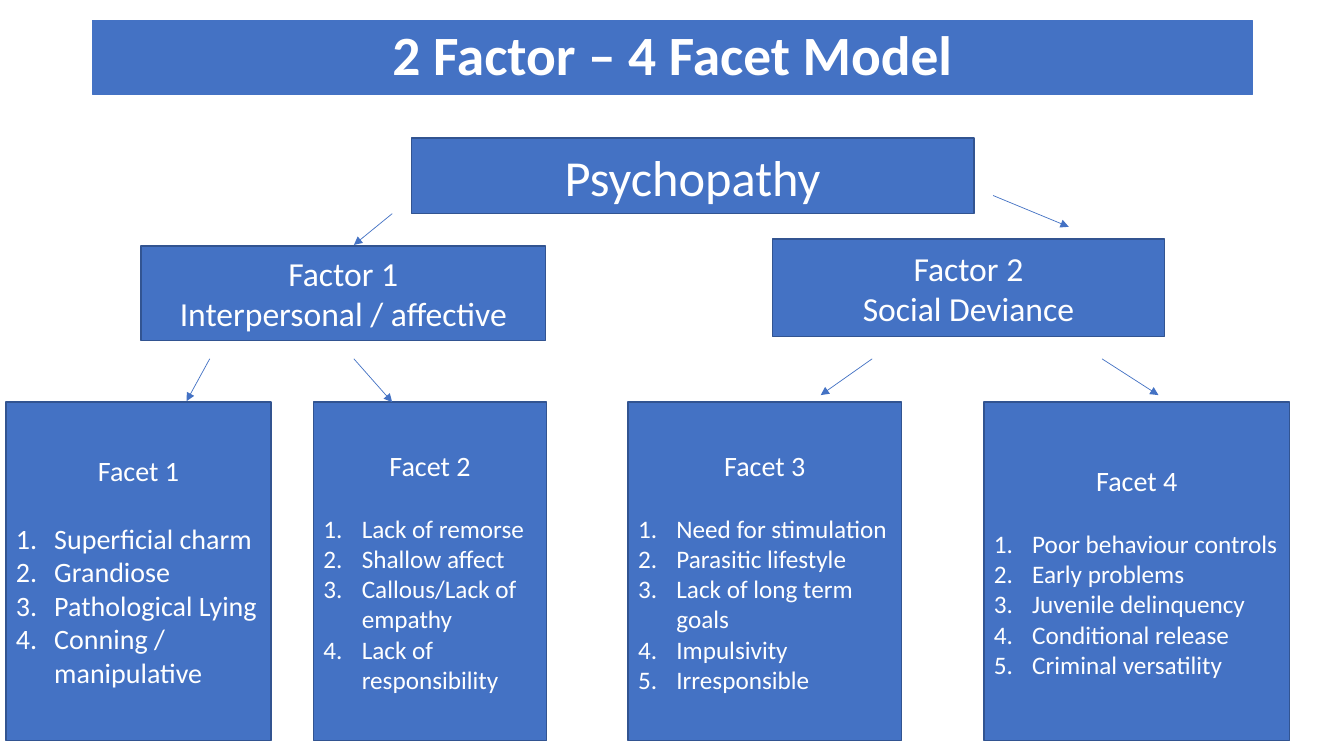
from lxml import etree
from pptx import Presentation
from pptx import util as u
from pptx.dml.color import RGBColor
from pptx.enum import shapes, text
from pptx.oxml.ns import qn

WIDTH, HEIGHT = 13.33, 7.5
FONT = "Calibri"
BLUE, EDGE, WHITE = "4472C4", "325491", "FFFFFF"
LINE_HEIGHT = 1.22
INDENT = 0.38

# Rows: (top, height); columns: (left, width), in inches
TITLE = ("2 Factor – 4 Facet Model", (0.92, 11.5), (0.2, 0.74))
FACET_ROW = (3.99, 3.36)
BOXES = [
    (["Psychopathy"], 36, (4.08, 5.58), (1.37, 0.75)),
    (["Factor 1", "Interpersonal / affective"], 24, (1.4, 4.01), (2.44, 0.94)),
    (["Factor 2", "Social Deviance"], 24, (7.66, 3.89), (2.37, 0.97)),
]
FACETS = [
    ("Facet 1", 20, (0.06, 2.63),
     ["Superficial charm", "Grandiose", "Pathological Lying", "Conning / manipulative"]),
    ("Facet 2", 18, (3.11, 2.31),
     ["Lack of remorse", "Shallow affect", "Callous/Lack of empathy",
      "Lack of responsibility"]),
    ("Facet 3", 18, (6.23, 2.71),
     ["Need for stimulation", "Parasitic lifestyle", "Lack of long term goals",
      "Impulsivity", "Irresponsible"]),
    ("Facet 4", 18, (9.76, 3.03),
     ["Poor behaviour controls", "Early problems", "Juvenile delinquency",
      "Conditional release", "Criminal versatility"]),
]
ARROWS = [
    ((3.89, 2.12), (3.51, 2.43)),
    ((9.85, 1.94), (10.6, 2.25)),
    ((2.08, 3.56), (1.85, 3.98)),
    ((3.51, 3.56), (3.89, 3.99)),
    ((8.65, 3.56), (8.14, 3.92)),
    ((10.93, 3.56), (11.49, 3.92)),
]


def color(value):
    return RGBColor.from_string(value)


def paint(shape, edge, weight):
    shape.fill.solid()
    shape.fill.fore_color.rgb = color(BLUE)
    shape.line.color.rgb = color(edge)
    shape.line.width = u.Pt(weight)
    shape.text_frame.vertical_anchor = text.MSO_ANCHOR.MIDDLE
    shape.text_frame.word_wrap = True


def style(paragraph, size, align=text.PP_ALIGN.CENTER, bold=False):
    paragraph.alignment = align
    font = paragraph.font
    font.name, font.size, font.bold = FONT, u.Pt(size), bold
    font.color.rgb = color(WHITE)


def number(paragraph):
    """Turn a paragraph into an item of a numbered list."""
    properties = paragraph._p.get_or_add_pPr()
    properties.set("marL", str(u.Inches(INDENT)))
    properties.set("indent", str(-u.Inches(INDENT)))
    etree.SubElement(properties, qn("a:buAutoNum"), type="arabicPeriod")


def add_box(slide, lines, size, column, row):
    (left, width), (top, height) = column, row
    box = slide.shapes.add_shape(
        shapes.MSO_SHAPE.RECTANGLE, *map(u.Inches, (left, top, width, height)))
    box.shadow.inherit = False
    paint(box, EDGE, 1)
    box.text_frame.text = "\n".join(lines)
    for paragraph in box.text_frame.paragraphs:
        style(paragraph, size)
    return box


def add_facet(slide, heading, size, column, items):
    frame = add_box(slide, [heading], 20, column, FACET_ROW).text_frame
    frame.paragraphs[0].space_after = u.Pt(round(size * LINE_HEIGHT))
    for item in items:
        paragraph = frame.add_paragraph()
        paragraph.text = item
        number(paragraph)
        style(paragraph, size, text.PP_ALIGN.LEFT)


def add_arrow(slide, start, end):
    arrow = slide.shapes.add_connector(
        shapes.MSO_CONNECTOR.STRAIGHT, *map(u.Inches, start + end))
    arrow.line.color.rgb = color(BLUE)
    arrow.line.width = u.Pt(0.5)
    etree.SubElement(arrow.line._get_or_add_ln(), qn("a:tailEnd"), type="triangle")
    etree.SubElement(arrow._element.spPr, qn("a:effectLst"))


def add_title(slide, words, column, row):
    title = slide.shapes.title
    title.left, title.width = map(u.Inches, column)
    title.top, title.height = map(u.Inches, row)
    title.text_frame.text = words
    title.text_frame.auto_size = text.MSO_AUTO_SIZE.NONE
    paint(title, BLUE, 0.75)
    paragraph = title.text_frame.paragraphs[0]
    paragraph.line_spacing = 0.9
    style(paragraph, 39.6, bold=True)


def main():
    presentation = Presentation()
    presentation.slide_width = u.Inches(WIDTH)
    presentation.slide_height = u.Inches(HEIGHT)
    slide = presentation.slides.add_slide(presentation.slide_layouts[5])
    add_title(slide, *TITLE)
    for box in BOXES:
        add_box(slide, *box)
    for facet in FACETS:
        add_facet(slide, *facet)
    for arrow in ARROWS:
        add_arrow(slide, *arrow)
    presentation.save("out.pptx")


if __name__ == "__main__":
    main()
